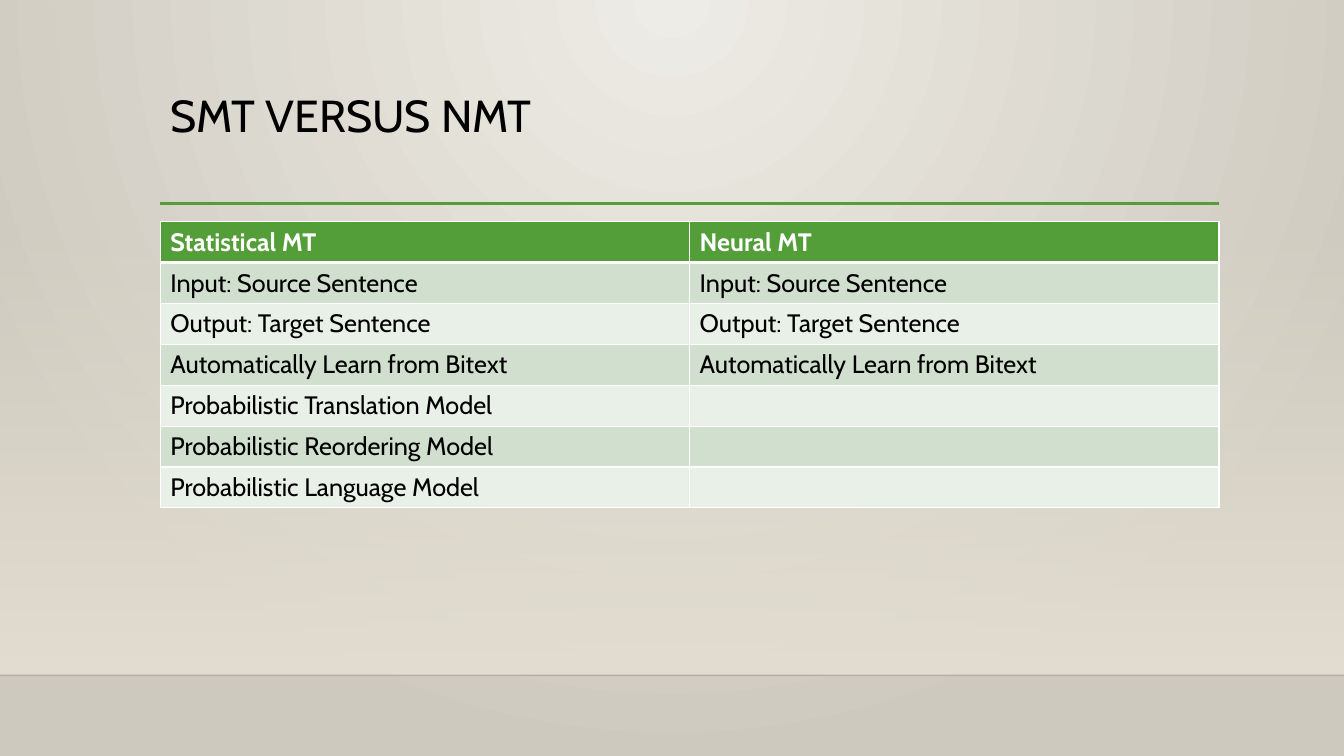
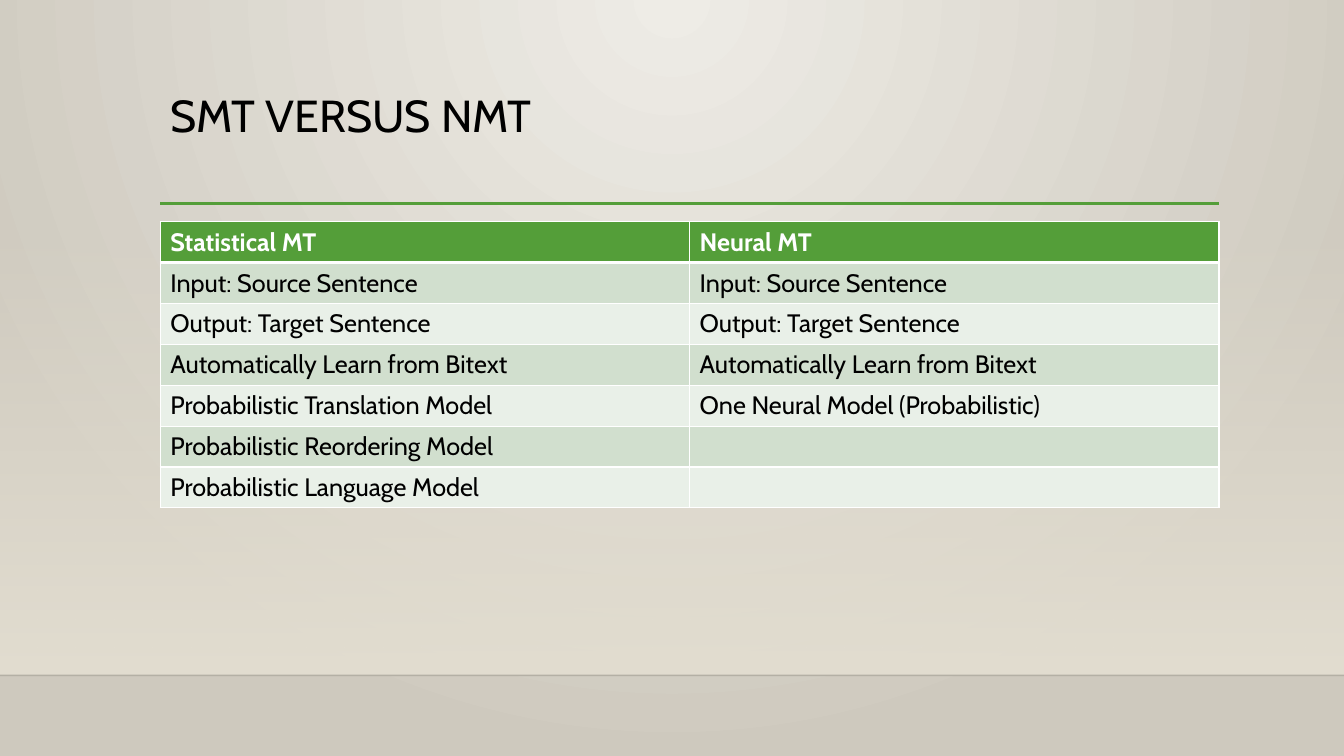
from dataclasses import dataclass

from lxml import etree
from pptx import Presentation
from pptx.dml.color import RGBColor
from pptx.enum.shapes import MSO_CONNECTOR, MSO_SHAPE
from pptx.enum.text import MSO_ANCHOR
from pptx.oxml import parse_xml
from pptx.oxml.ns import nsdecls, qn
from pptx.util import Inches, Pt

STRAIGHT = MSO_CONNECTOR.STRAIGHT
RECTANGLE = MSO_SHAPE.RECTANGLE
TOP = MSO_ANCHOR.TOP


@dataclass(frozen=True)
class Theme:
    font: str = "Cabin"
    title_size: int = 32
    body_size: int = 18
    text: str = "000000"
    white: str = "FFFFFF"
    accent: str = "549E39"
    bands: tuple = ("D1DFCE", "E9F0E8")
    bg_center: str = "EEECE6"
    bg_edge: str = "CEC9BE"
    wall: str = "E3DED1"
    floor_line: str = "000001"


T = Theme()
SLIDE_W, SLIDE_H = 13.33, 7.5
LEFT, CONTENT_W = 1.59, 10.5
FLOOR_Y = 6.7

TITLE = "SMT VERSUS NMT"
HEADER = ("Statistical MT", "Neural MT")
SHARED = ("Input: Source Sentence", "Output: Target Sentence",
          "Automatically Learn from Bitext")
STATISTICAL = SHARED + ("Probabilistic Translation Model",
                        "Probabilistic Reordering Model",
                        "Probabilistic Language Model")
NEURAL_STEPS = (SHARED, SHARED + ("One Neural Model (Probabilistic)",))


def rgb(value):
    return RGBColor.from_string(value)


def set_gradient(parent, start, end, direction, start_alpha=100):
    """Replace the solid fill of parent with a two-stop gradient."""
    grad = parse_xml(
        f'<a:gradFill {nsdecls("a")} rotWithShape="1"><a:gsLst>'
        f'<a:gs pos="0"><a:srgbClr val="{start}">'
        f'<a:alpha val="{start_alpha * 1000}"/></a:srgbClr></a:gs>'
        f'<a:gs pos="100000"><a:srgbClr val="{end}"/></a:gs>'
        f'</a:gsLst>{direction}</a:gradFill>')
    parent.replace(parent.find(qn("a:solidFill")), grad)


def add_rule(slide, x, y, width, color, weight, alpha=100):
    line = slide.shapes.add_connector(
        STRAIGHT, Inches(x), Inches(y), Inches(x + width), Inches(y))
    line.line.color.rgb = rgb(color)
    line.line.width = Pt(weight)
    if alpha < 100:
        clr = line.line._ln.find(".//" + qn("a:srgbClr"))
        etree.SubElement(clr, qn("a:alpha"), val=str(alpha * 1000))
    etree.SubElement(line._element.spPr, qn("a:effectLst"))


def style_text(tf, size, color, bold=False):
    for p in tf.paragraphs:
        for r in p.runs:
            r.font.name = T.font
            r.font.size = Pt(size)
            r.font.bold = bold
            r.font.color.rgb = rgb(color)


def add_backdrop(slide):
    # Radial background centred on the top edge
    slide.background.fill.solid()
    set_gradient(
        slide.element.find(".//" + qn("p:bgPr")), T.bg_center, T.bg_edge,
        '<a:path path="circle">'
        '<a:fillToRect l="43000" t="0" r="43000" b="100000"/></a:path>')

    # Wall fading in down to the floor line
    top = 2.21
    wall = slide.shapes.add_shape(RECTANGLE, 0, Inches(top), Inches(SLIDE_W),
                                  Inches(FLOOR_Y - top))
    wall.shadow.inherit = False
    wall.line.fill.background()
    wall.fill.solid()
    set_gradient(wall._element.spPr, T.wall, T.wall,
                 '<a:lin ang="5400000" scaled="0"/>', start_alpha=0)
    add_rule(slide, 0, FLOOR_Y, SLIDE_W, T.floor_line, 1, alpha=20)


def add_title(slide, text, x, y, width, height):
    add_rule(slide, x, y + height - 0.01, width, T.accent, 2.5)
    box = slide.shapes.add_textbox(Inches(x), Inches(y), Inches(width),
                                   Inches(height))
    tf = box.text_frame
    tf.word_wrap = True
    tf.vertical_anchor = TOP
    tf.text = text
    tf.paragraphs[0].line_spacing = 0.9
    style_text(tf, T.title_size, T.text)


def set_borders(cell, **weights):
    tcPr = cell._tc.get_or_add_tcPr()
    for i, side in enumerate("LRTB"):
        width = Pt(weights.get(side, 1))
        tcPr.insert(i, parse_xml(
            f'<a:ln{side} {nsdecls("a")} w="{width}"><a:solidFill>'
            f'<a:srgbClr val="{T.white}"/></a:solidFill></a:ln{side}>'))


def add_comparison(slide, columns, x, y, width, height):
    n_rows = 1 + max(len(column) for column in columns)
    table = slide.shapes.add_table(
        n_rows, len(columns), Inches(x), Inches(y), Inches(width),
        Inches(height)).table
    for row in table.rows:
        row.height = Inches(height / n_rows)
    for c, (heading, column) in enumerate(zip(HEADER, columns)):
        table.columns[c].width = Inches(width / len(columns))
        for r in range(n_rows):
            cell = table.cell(r, c)
            is_header = r == 0
            if is_header:
                cell.text_frame.text = heading
            elif r <= len(column):
                cell.text_frame.text = column[r - 1]
            style_text(cell.text_frame, T.body_size,
                       T.white if is_header else T.text, is_header)
            cell.fill.solid()
            cell.fill.fore_color.rgb = rgb(
                T.accent if is_header else T.bands[(r - 1) % 2])
            # Thick rule between the header and the body
            set_borders(cell, T=3 if r == 1 else 1, B=3 if is_header else 1)


def add_comparison_slide(prs, neural):
    slide = prs.slides.add_slide(prs.slide_layouts[6])
    add_backdrop(slide)
    add_title(slide, TITLE, LEFT, 0.88, CONTENT_W, 1.15)
    add_comparison(slide, (STATISTICAL, neural), LEFT, 2.2, CONTENT_W, 2.84)


def main():
    prs = Presentation()
    prs.slide_width = Inches(SLIDE_W)
    prs.slide_height = Inches(SLIDE_H)
    for neural in NEURAL_STEPS:
        add_comparison_slide(prs, neural)
    prs.save("out.pptx")


if __name__ == "__main__":
    main()
